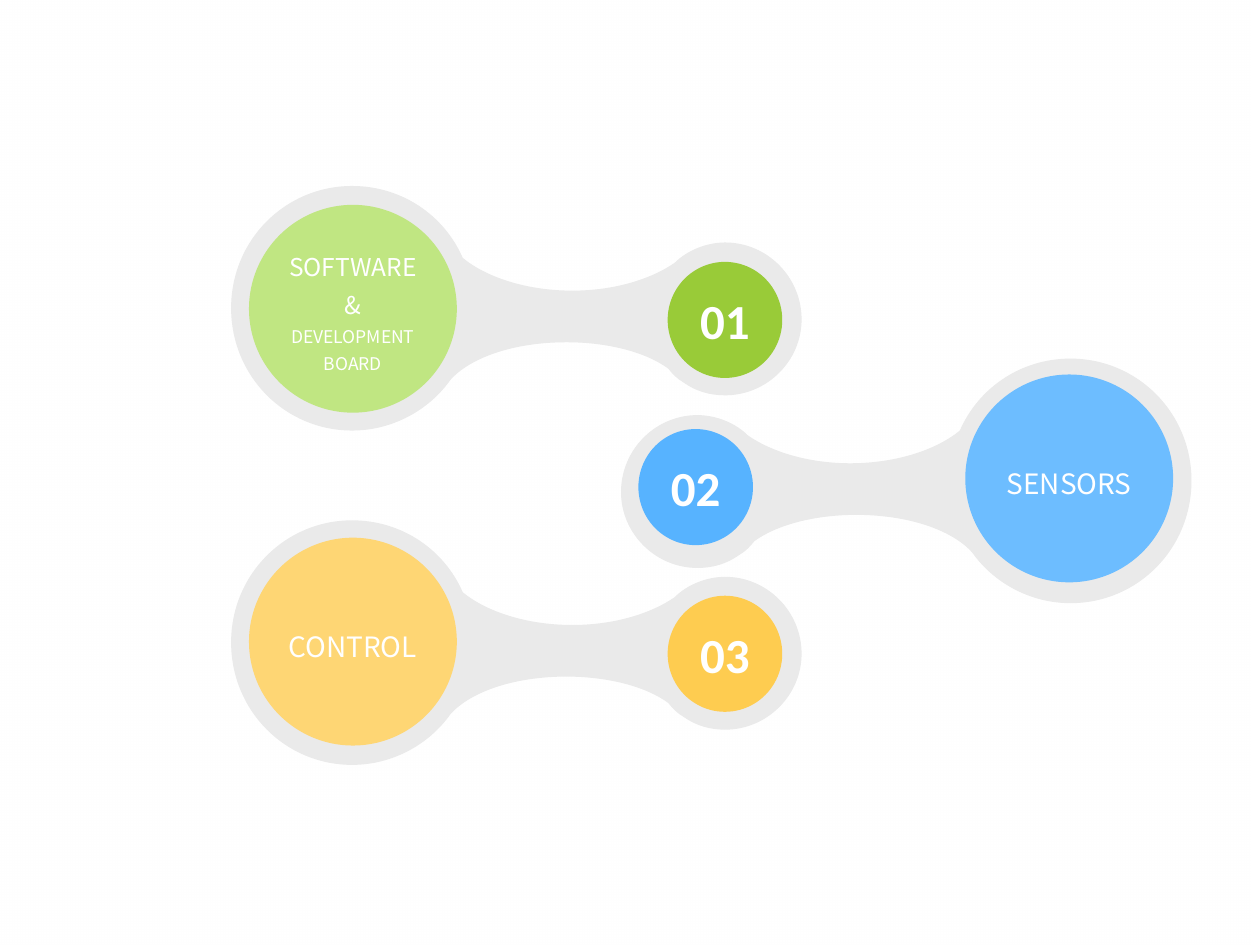
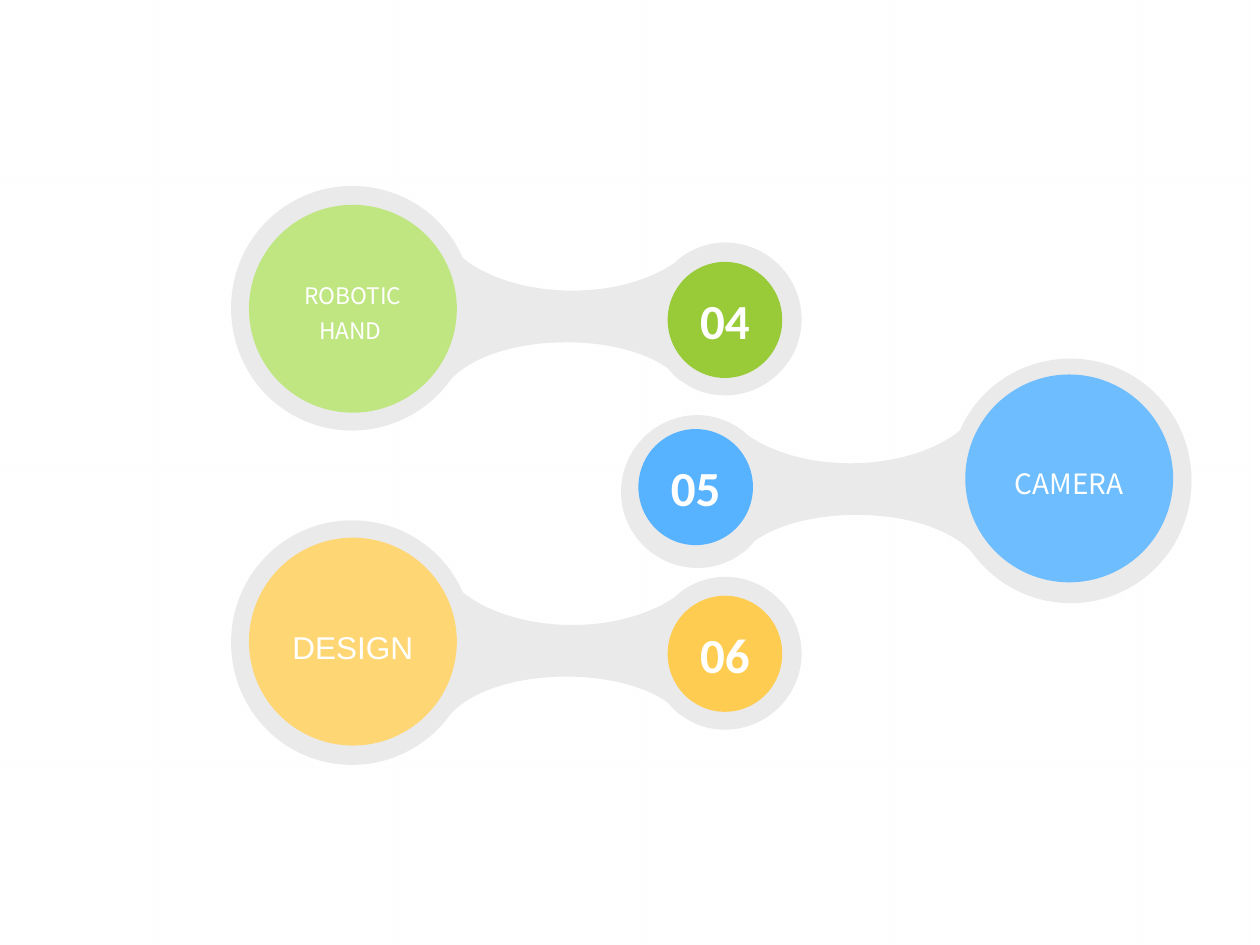
from dataclasses import dataclass

from lxml import etree
from pptx import Presentation
from pptx import util as u
from pptx.dml.color import RGBColor
from pptx.enum import shapes, text
from pptx.oxml.ns import qn

WHITE, BAND_GREY = "FFFFFF", "EAEAEA"
LABEL_FONT, NUMBER_FONT = "Noto Sans CJK SC", "Calibri"
TOPIC_SIZE = (4.19, 4.19)
NUMBER_SIZE = (2.31, 2.34)
VEIL_OPACITIES = (73, 0)

# Dumbbell outline in cm: a start point, then cubic curves (control, control, end)
BAND_WIDTH = 11.5
BAND_START = (2.44, 0)
BAND_CURVES = [
    ((3.43, 0), (4.29, 0.58), (4.67, 1.45)),
    ((5.13, 1.83), (5.94, 2.11), (6.88, 2.11)),
    ((7.72, 2.11), (8.46, 1.88), (8.94, 1.55)),
    ((9.19, 1.3), (9.58, 1.14), (9.96, 1.14)),
    ((10.8, 1.14), (11.5, 1.83), (11.5, 2.69)),
    ((11.5, 3.53), (10.8, 4.22), (9.96, 4.22)),
    ((9.65, 4.22), (9.37, 4.14), (9.12, 3.96)),
    ((8.99, 3.89), (8.89, 3.78), (8.81, 3.68)),
    ((8.36, 3.35), (7.59, 3.15), (6.76, 3.15)),
    ((5.72, 3.15), (4.83, 3.45), (4.42, 3.91)),
    ((3.99, 4.52), (3.25, 4.93), (2.44, 4.93)),
    ((1.09, 4.93), (0, 3.84), (0, 2.46)),
    ((0, 1.09), (1.09, 0), (2.44, 0)),
]


@dataclass(frozen=True)
class Dumbbell:
    """Places and colours of one band with its two circles."""
    band: tuple[float, float]
    topic: tuple[float, float]
    number: tuple[float, float]
    topic_color: str
    number_color: str
    mirrored: bool = False


@dataclass(frozen=True)
class Line:
    """One paragraph in a circle."""
    words: str
    size: int = 16
    font: str = LABEL_FONT
    bold: bool = False
    spacing: float = 1.3


DUMBBELLS = [
    Dumbbell((4.66, 3.75), (5.02, 4.13), (13.46, 5.28), "C0E682", "99CB38"),
    Dumbbell((12.52, 7.23), (19.46, 7.55), (12.87, 8.65), "6DBDFF", "57B3FF", True),
    Dumbbell((4.66, 10.49), (5.02, 10.84), (13.46, 12.01), "FED674", "FECC50"),
]

# Topics of each slide, in the order of the dumbbells
SLIDE_TOPICS = [
    [[Line("SOFTWARE &", 14), Line("DEVELOPMENT BOARD", 10)],
     [Line("SENSORS")],
     [Line("CONTROL")]],
    [[Line("ROBOTIC HAND ", 13)],
     [Line("CAMERA")],
     [Line("DESIGN", 18, "Arial")]],
]


def color(value: str) -> RGBColor:
    return RGBColor.from_string(value)


def paint(shape, fill: str) -> None:
    shape.shadow.inherit = False
    shape.fill.solid()
    shape.fill.fore_color.rgb = color(fill)
    shape.line.fill.background()


def add_master_veil(presentation, slide) -> None:
    """Lay a fading white sheet on the master, behind every slide."""
    veil = slide.shapes.add_shape(shapes.MSO_SHAPE.RECTANGLE, 0, 0,
                                  presentation.slide_width, presentation.slide_height)
    paint(veil, WHITE)
    veil.fill.gradient()
    veil.fill.gradient_angle = 0
    for stop, opacity in zip(veil.fill.gradient_stops, VEIL_OPACITIES):
        stop.color.rgb = color(WHITE)
    for node, opacity in zip(veil.element.iter(qn("a:srgbClr")), VEIL_OPACITIES):
        etree.SubElement(node, qn("a:alpha")).set("val", str(opacity * 1000))
    presentation.slide_master.shapes.element.insert(2, veil.element)


def add_band(slide, place: tuple[float, float], mirrored: bool) -> None:
    left, top = place

    def flip(point: tuple[float, float]) -> tuple[float, float]:
        x, y = point
        return (BAND_WIDTH - x if mirrored else x), y

    corners = [flip(point) for point in (BAND_START, *(curve[-1] for curve in BAND_CURVES))]
    points = [(u.Cm(left + x), u.Cm(top + y)) for x, y in corners]
    builder = slide.shapes.build_freeform(*points[0])
    builder.add_line_segments(points[1:], close=True)
    band = builder.convert_to_shape()
    paint(band, BAND_GREY)

    # Bend each straight segment into its curve
    for segment, curve in zip(list(band.element.iter(qn("a:lnTo"))), BAND_CURVES):
        bend = etree.Element(qn("a:cubicBezTo"))
        for x, y in map(flip, curve):
            etree.SubElement(bend, qn("a:pt"), x=str(int(u.Cm(x))), y=str(int(u.Cm(y))))
        segment.getparent().replace(segment, bend)


def add_circle(slide, place: tuple[float, float], size: tuple[float, float],
               fill: str, lines: list[Line], margins: tuple[float, float] = (0, 0)) -> None:
    box = [u.Cm(length) for length in (*place, *size)]
    circle = slide.shapes.add_shape(shapes.MSO_SHAPE.OVAL, *box)
    paint(circle, fill)
    frame = circle.text_frame
    frame.word_wrap = True
    frame.vertical_anchor = text.MSO_ANCHOR.MIDDLE
    frame.margin_left = frame.margin_right = u.Cm(margins[0])
    frame.margin_top = frame.margin_bottom = u.Cm(margins[1])
    for index, line in enumerate(lines):
        paragraph = frame.add_paragraph() if index else frame.paragraphs[0]
        paragraph.text = line.words
        paragraph.alignment = text.PP_ALIGN.CENTER
        paragraph.line_spacing = line.spacing
        paragraph.font.name = line.font
        paragraph.font.size = u.Pt(line.size)
        paragraph.font.bold = line.bold
        paragraph.font.color.rgb = color(WHITE)


def add_dumbbell(slide, dumbbell: Dumbbell, topic: list[Line], number: int) -> None:
    add_band(slide, dumbbell.band, dumbbell.mirrored)
    add_circle(slide, dumbbell.topic, TOPIC_SIZE, dumbbell.topic_color, topic)
    add_circle(slide, dumbbell.number, NUMBER_SIZE, dumbbell.number_color,
               [Line(f"{number:02}", 28, NUMBER_FONT, True, 1.0)], (0.25, 0.13))


def main() -> None:
    presentation = Presentation()
    presentation.slide_width, presentation.slide_height = u.Cm(25.4), u.Cm(19.05)
    slides = [presentation.slides.add_slide(presentation.slide_layouts[6])
              for _ in SLIDE_TOPICS]
    add_master_veil(presentation, slides[0])

    # Numbering runs on across the slides
    number = 1
    for slide, topics in zip(slides, SLIDE_TOPICS):
        for dumbbell, topic in zip(DUMBBELLS, topics):
            add_dumbbell(slide, dumbbell, topic, number)
            number += 1

    presentation.save("out.pptx")


if __name__ == "__main__":
    main()
